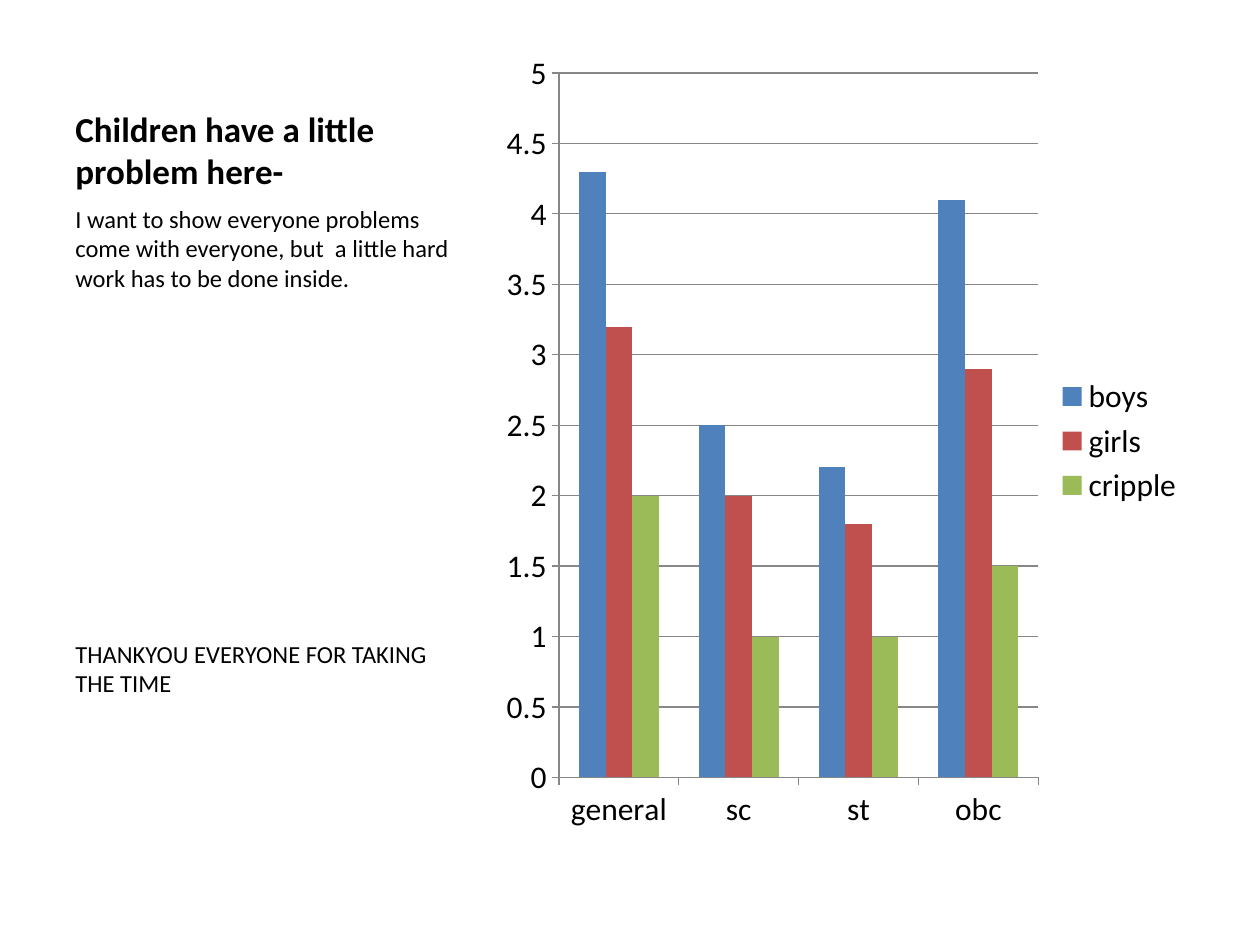
from pptx import Presentation
from pptx.chart.data import CategoryChartData
from pptx.dml.color import RGBColor
from pptx.enum.chart import XL_CHART_TYPE, XL_LEGEND_POSITION, XL_TICK_MARK
from pptx.enum.text import MSO_ANCHOR
from pptx.util import Inches, Pt

FONT = "Calibri"
COLORS = {"text": "000000", "line": "878787",
          "boys": "4F81BD", "girls": "C0504D", "cripple": "9BBB59"}
CATEGORIES = ["general", "sc", "st", "obc"]
SERIES = {"boys": [4.3, 2.5, 2.2, 4.1],
          "girls": [3.2, 2, 1.8, 2.9],
          "cripple": [2, 1, 1, 1.5]}


def color(name):
    return RGBColor.from_string(COLORS[name])


def style_font(font, size, bold=False):
    font.name = FONT
    font.size = Pt(size)
    font.bold = bold
    font.color.rgb = color("text")


def add_text(slide, left, top, width, height, paragraphs, size,
             bold=False, anchor=MSO_ANCHOR.TOP):
    """Each paragraph is a pair of text and space before in points."""
    box = slide.shapes.add_textbox(Inches(left), Inches(top), Inches(width), Inches(height))
    frame = box.text_frame
    frame.word_wrap = True
    frame.vertical_anchor = anchor
    frame.text = "\n".join(text for text, _ in paragraphs)
    for paragraph, (_, space) in zip(frame.paragraphs, paragraphs):
        paragraph.space_before = Pt(space)
        for run in paragraph.runs:
            style_font(run.font, size, bold)


def add_message(slide, left, top, width, height):
    title_height = 1.27
    # Heading
    add_text(slide, left, top, width, title_height,
             [("Children have a little problem here-", 0)],
             20, bold=True, anchor=MSO_ANCHOR.BOTTOM)
    # Message and closing thanks
    add_text(slide, left, top + title_height, width, height - title_height,
             [("I want to show everyone problems come with everyone, "
               "but  a little hard work has to be done inside.", 2.8),
              ("THANKYOU EVERYONE FOR TAKING THE TIME", 198)], 14)


def add_children_chart(slide, left, top, width, height):
    data = CategoryChartData()
    data.categories = CATEGORIES
    for name, values in SERIES.items():
        data.add_series(name, values)
    chart = slide.shapes.add_chart(
        XL_CHART_TYPE.COLUMN_CLUSTERED, Inches(left), Inches(top),
        Inches(width), Inches(height), data).chart
    chart.has_title = False
    style_font(chart.font, 18)

    # Columns
    plot = chart.plots[0]
    plot.vary_by_categories = False
    plot.gap_width = 150
    for series in plot.series:
        series.format.fill.solid()
        series.format.fill.fore_color.rgb = color(series.name)

    # Axes and gridlines
    for axis in (chart.category_axis, chart.value_axis):
        axis.major_tick_mark = XL_TICK_MARK.OUTSIDE
        axis.minor_tick_mark = XL_TICK_MARK.NONE
        axis.format.line.color.rgb = color("line")
    value_axis = chart.value_axis
    value_axis.minimum_scale = 0
    value_axis.maximum_scale = 5
    value_axis.major_unit = 0.5
    value_axis.has_major_gridlines = True
    value_axis.major_gridlines.format.line.color.rgb = color("line")

    # Legend
    chart.has_legend = True
    chart.legend.position = XL_LEGEND_POSITION.RIGHT
    chart.legend.include_in_layout = False


presentation = Presentation()
presentation.slide_width = Inches(10)
presentation.slide_height = Inches(7.5)
slide = presentation.slides.add_slide(presentation.slide_layouts[6])
add_message(slide, 0.5, 0.3, 3.29, 6.4)
add_children_chart(slide, 3.91, 0.3, 5.59, 6.4)
presentation.save("out.pptx")
